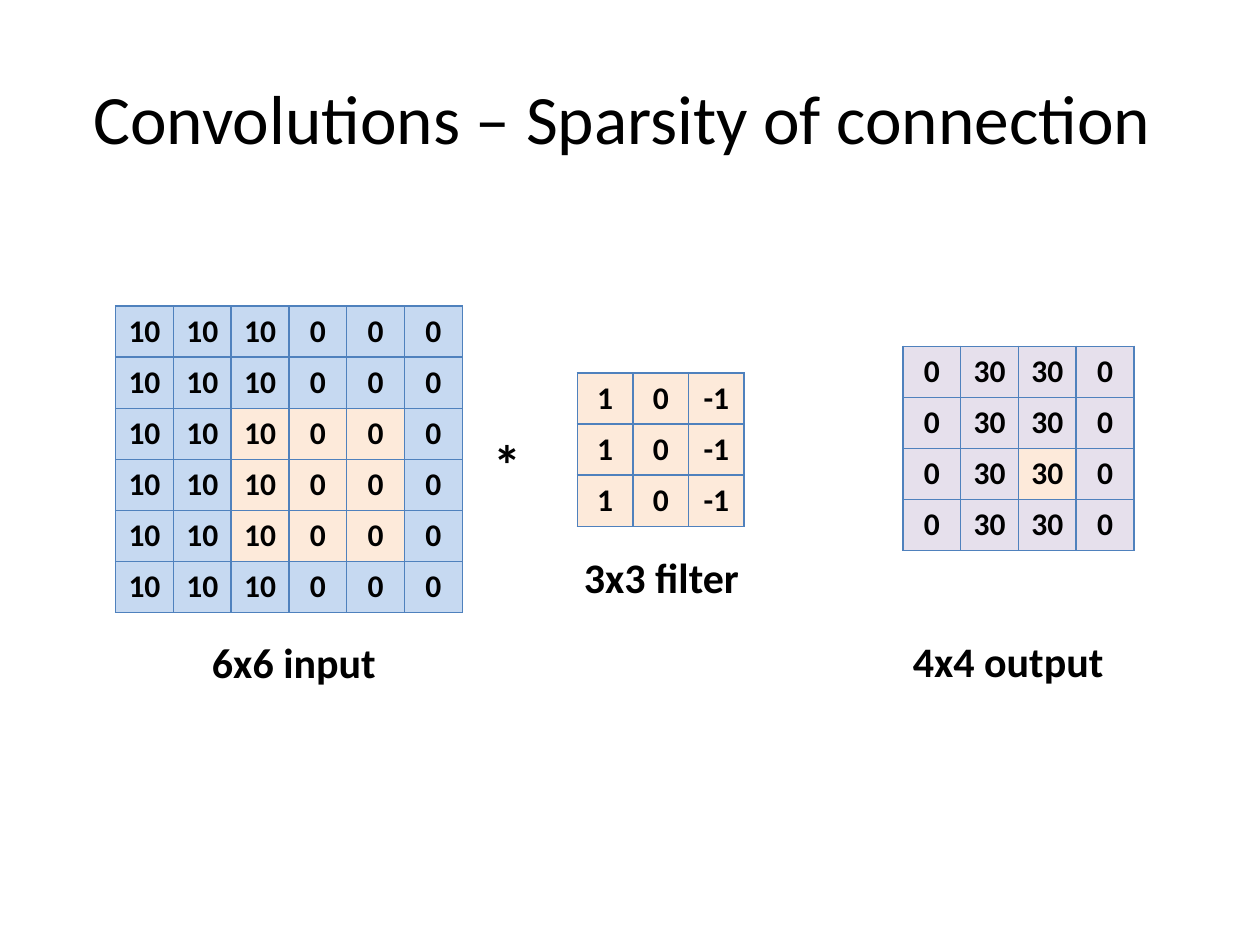
from lxml import etree
from pptx import Presentation
from pptx import util as u
from pptx.dml.color import RGBColor
from pptx.enum import text
from pptx.oxml import ns

BLACK = RGBColor(0x00, 0x00, 0x00)
BLUE = RGBColor(0xC6, 0xD9, 0xF1)
PEACH = RGBColor(0xFD, 0xEA, 0xDA)
LILAC = RGBColor(0xE6, 0xE0, 0xEC)
EDGE = RGBColor(0x4F, 0x81, 0xBD)
FONT = "Calibri"
ROW = 1.03


def style(para, size, bold=True, align=text.PP_ALIGN.CENTER):
    para.alignment = align
    for run in para.runs:
        font = run.font
        font.name, font.size, font.bold = FONT, u.Pt(size), bold
        font.color.rgb = BLACK


def border(cell):
    props = cell._tc.get_or_add_tcPr()
    for i, side in enumerate(("lnL", "lnR", "lnT", "lnB")):
        line = etree.Element(ns.qn("a:" + side), w=str(u.Pt(1)))
        fill = etree.SubElement(line, ns.qn("a:solidFill"))
        etree.SubElement(fill, ns.qn("a:srgbClr"), val=str(EDGE))
        props.insert(i, line)


prs = Presentation()
prs.slide_width, prs.slide_height = u.Cm(25.4), u.Cm(19.05)
slide = prs.slides.add_slide(prs.slide_layouts[6])

# Title
box = slide.shapes.add_textbox(u.Cm(1.27), u.Cm(0.76), u.Cm(22.86), u.Cm(3.18))
frame = box.text_frame
frame.word_wrap = True
frame.vertical_anchor = text.MSO_ANCHOR.MIDDLE
frame.text = "Convolutions – Sparsity of connection "
style(frame.paragraphs[0], 39.6, bold=False)

# Matrices: left, top, column width, values, base fill, highlighted rows and columns
grids = [
    (2.33, 6.17, 1.165, [[10, 10, 10, 0, 0, 0]] * 6, BLUE, range(2, 5), range(2, 5)),
    (11.64, 7.52, 1.12, [[1, 0, -1]] * 3, PEACH, (), ()),
    (18.2, 6.98, 1.165, [[0, 30, 30, 0]] * 4, LILAC, (2,), (2,)),
]
for left, top, width, rows, base, hotrows, hotcols in grids:
    high, wide = len(rows), len(rows[0])
    frame = slide.shapes.add_table(high, wide, u.Cm(left), u.Cm(top),
                                   u.Cm(width * wide), u.Cm(ROW * high))
    table = frame.table
    table.first_row = table.horz_banding = False
    for col in table.columns:
        col.width = u.Cm(width)
    for r, row in enumerate(rows):
        table.rows[r].height = u.Cm(ROW)
        for c, value in enumerate(row):
            cell = table.cell(r, c)
            cell.text_frame.text = str(value)
            style(cell.text_frame.paragraphs[0], 18)
            cell.fill.solid()
            hot = r in hotrows and c in hotcols
            cell.fill.fore_color.rgb = PEACH if hot else base
            border(cell)

# Captions below the matrices
captions = [
    ("6x6 input", 2.96, 12.7, 5.93),
    ("3x3 filter", 11.43, 11.0, 3.81),
    ("4x4 output", 17.36, 12.68, 5.93),
]
for label, left, top, width in captions:
    box = slide.shapes.add_textbox(u.Cm(left), u.Cm(top), u.Cm(width), u.Cm(1.28))
    box.text_frame.word_wrap = True
    box.text_frame.text = label
    style(box.text_frame.paragraphs[0], 24)

# Convolution sign
box = slide.shapes.add_textbox(u.Cm(9.7), u.Cm(8.53), u.Cm(1.09), u.Cm(1.62))
box.text_frame.word_wrap = False
box.text_frame.text = "*"
style(box.text_frame.paragraphs[0], 32, align=text.PP_ALIGN.LEFT)

prs.save("out.pptx")
